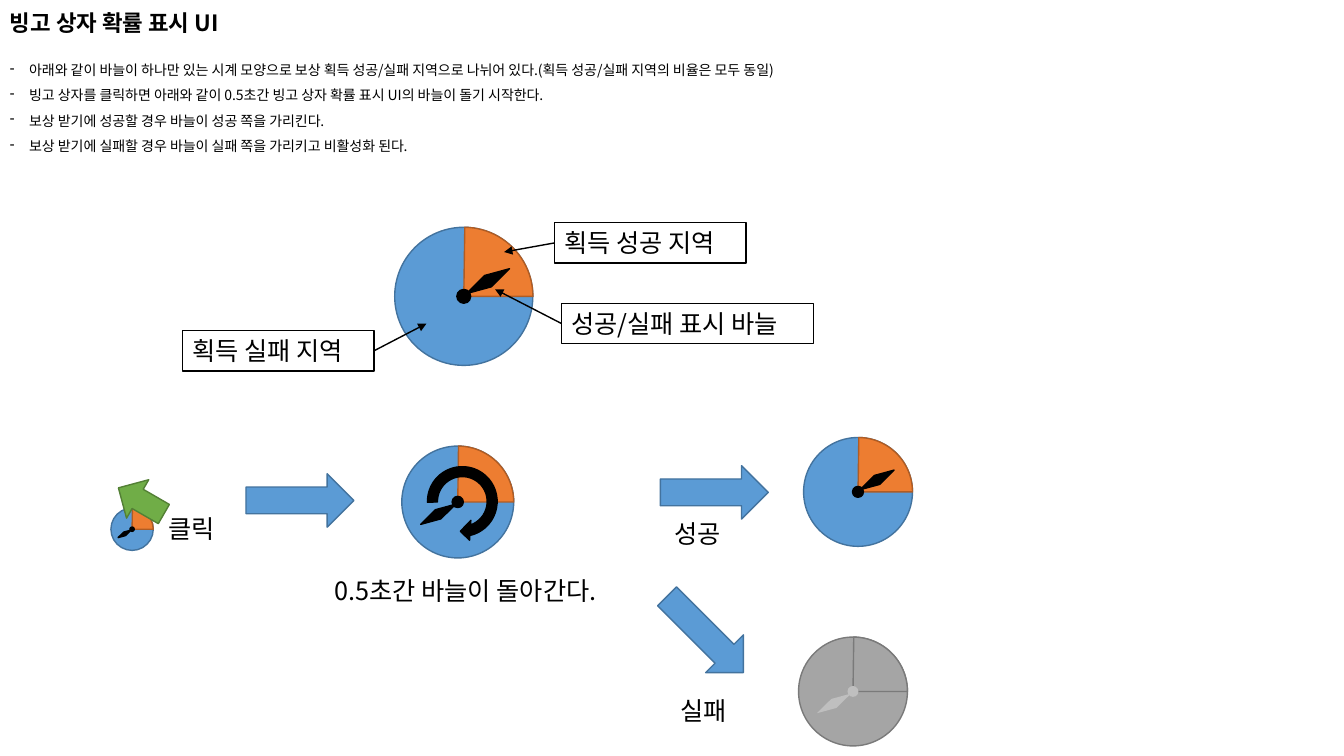
from dataclasses import dataclass

from lxml import etree
from pptx import Presentation
from pptx.dml.color import RGBColor
from pptx.enum.shapes import MSO_CONNECTOR, MSO_SHAPE
from pptx.enum.text import MSO_ANCHOR, MSO_AUTO_SIZE
from pptx.oxml.ns import qn
from pptx.util import Inches, Pt

ELLIPSE, PIE, DIAMOND = MSO_SHAPE.OVAL, MSO_SHAPE.PIE, MSO_SHAPE.DIAMOND
LEFT_ARROW, RIGHT_ARROW = MSO_SHAPE.LEFT_ARROW, MSO_SHAPE.RIGHT_ARROW
CIRCULAR_ARROW = MSO_SHAPE.CIRCULAR_ARROW
STRAIGHT = MSO_CONNECTOR.STRAIGHT
MIDDLE = MSO_ANCHOR.MIDDLE
FIT_SHAPE = MSO_AUTO_SIZE.SHAPE_TO_FIT_TEXT
LEFT_SIDE, RIGHT_SIDE = 1, 3


@dataclass(frozen=True)
class Theme:
    font: str = "Noto Sans CJK KR"
    title: int = 16
    body: int = 10
    label: int = 18
    line: int = 1
    black: tuple = ("000000", "000000")
    white: tuple = ("FFFFFF", "000000")
    blue: tuple = ("5B9BD5", "43739E")
    orange: tuple = ("ED7D31", "AF5C24")
    green: tuple = ("70AD47", "538035")
    grey: tuple = ("A5A5A5", "7A7A7A")
    pale: tuple = ("BFBFBF", None)


T = Theme()
ACTIVE = (T.blue, T.orange, T.black)
INACTIVE = (T.grey, T.grey, T.pale)
SUCCESS, FAILURE = 1, -1

TITLE = "빙고 상자 확률 표시 UI"
RULES = [
    "아래와 같이 바늘이 하나만 있는 시계 모양으로 보상 획득 성공/실패 지역으로 나뉘어 있다."
    "(획득 성공/실패 지역의 비율은 모두 동일)",
    "빙고 상자를 클릭하면 아래와 같이 0.5초간 빙고 상자 확률 표시 UI의 바늘이 돌기 시작한다.",
    "보상 받기에 성공할 경우 바늘이 성공 쪽을 가리킨다.",
    "보상 받기에 실패할 경우 바늘이 실패 쪽을 가리키고 비활성화 된다.",
]
CLOCKS = [
    (1.31, 5.25, 0.42, FAILURE, ACTIVE),
    (4.54, 4.98, 1.11, FAILURE, ACTIVE),
    (8.46, 6.86, 1.08, FAILURE, INACTIVE),
    (8.51, 4.88, 1.08, SUCCESS, ACTIVE),
    (4.6, 2.94, 1.37, SUCCESS, ACTIVE),
]
ARROWS = [
    (LEFT_ARROW, (1.14, 4.75, 0.52, 0.44), T.green, 30, ()),
    (RIGHT_ARROW, (2.44, 4.7, 1.07, 0.53), T.blue, 0, ()),
    (RIGHT_ARROW, (6.55, 4.62, 1.07, 0.53), T.blue, 0, ()),
    (RIGHT_ARROW, (6.46, 6.03, 1.07, 0.53), T.blue, 45, ()),
    (CIRCULAR_ARROW, (4.19, 4.58, 0.79, 0.79), T.black, 93.7,
     (0.125, 11.423, 204.577, 51.074, 0.125)),
]
LABELS = [
    ("클릭", 1.57, 5.04, 0.71),
    ("0.5초간 바늘이 돌아간다.", 3.22, 5.66, 3.04),
    ("성공", 6.59, 5.09, 0.71),
    ("실패", 6.65, 6.85, 0.71),
]
CALLOUTS = [
    ("획득 성공 지역", 5.5, 2.21, 1.9, LEFT_SIDE, (5, 2.5)),
    ("획득 실패 지역", 1.81, 3.28, 1.9, RIGHT_SIDE, (4.23, 3.21)),
    ("성공/실패 표시 바늘", 5.57, 3.01, 2.5, LEFT_SIDE, (4.91, 2.87)),
]
LABEL_H = 0.4
QUARTER = (108.475, 162)
HUB, NEEDLE_W, NEEDLE_H = 0.1, 0.095, 0.36
NEEDLE_DX, NEEDLE_DY = 0.175, -0.11


def paint(sp, colors):
    fill, line = colors
    sp.fill.solid()
    sp.fill.fore_color.rgb = RGBColor.from_string(fill)
    if line:
        sp.line.color.rgb = RGBColor.from_string(line)
        sp.line.width = Pt(T.line)
    else:
        sp.line.fill.background()


def add_shape(s, kind, box, colors, rotation=0, adjustments=()):
    sp = s.shapes.add_shape(kind, *map(Inches, box))
    sp.shadow.inherit = False
    sp.rotation = rotation
    for i, value in enumerate(adjustments):
        sp.adjustments[i] = value
    paint(sp, colors)
    return sp


def centred(cx, cy, w, h):
    return cx - w / 2, cy - h / 2, w, h


def add_clock(s, cx, cy, size, side, palette):
    face, quarter, hand = palette
    disc = centred(cx, cy, size, size)
    hub = centred(cx, cy, HUB * size, HUB * size)
    needle = centred(cx + side * NEEDLE_DX * size, cy + side * NEEDLE_DY * size,
                     NEEDLE_W * size, NEEDLE_H * size)
    add_shape(s, ELLIPSE, disc, face)
    add_shape(s, PIE, disc, quarter, 90, QUARTER)
    add_shape(s, ELLIPSE, hub, hand)
    add_shape(s, DIAMOND, needle, hand, 60)


def add_text(s, text, box, size, bold=False):
    sp = s.shapes.add_textbox(*map(Inches, box))
    tf = sp.text_frame
    tf.text = text
    tf.word_wrap = False
    tf.auto_size = FIT_SHAPE
    for p in tf.paragraphs:
        for r in p.runs:
            r.font.size = Pt(size)
            r.font.bold = bold
            r.font.name = T.font
            r.font.color.rgb = RGBColor.from_string(T.black[0])
            ea = etree.SubElement(r.font._element, qn("a:ea"))
            ea.set("typeface", T.font)
    return sp


def add_rules(s):
    sp = add_text(s, "\n".join(RULES), (0, 0.48, 8.75, 1.11), T.body)
    for p in sp.text_frame.paragraphs:
        pPr = p._p.get_or_add_pPr()
        pPr.set("marL", str(Inches(0.19)))
        pPr.set("indent", str(-Inches(0.19)))
        etree.SubElement(pPr, qn("a:buChar")).set("char", "-")
        p.line_spacing = 1.5


def add_callout(s, text, x, y, w, side, target):
    sp = add_text(s, text, (x, y, w, LABEL_H), T.label)
    paint(sp, T.white)
    tx, ty = map(Inches, target)
    pointer = s.shapes.add_connector(STRAIGHT, tx, ty, tx, ty)
    pointer.begin_connect(sp, side)
    pointer.line.color.rgb = RGBColor.from_string(T.black[1])
    pointer.line.width = Pt(T.line)
    etree.SubElement(pointer.line._get_or_add_ln(), qn("a:tailEnd")).set("type", "triangle")
    etree.SubElement(pointer._element.spPr, qn("a:effectLst"))


def main():
    prs = Presentation()
    prs.slide_width, prs.slide_height = Inches(13.33), Inches(7.5)
    s = prs.slides.add_slide(prs.slide_layouts[6])

    title = add_text(s, TITLE, (0, 0, 13.33, 0.48), T.title, True).text_frame
    title.word_wrap = True
    title.auto_size = MSO_AUTO_SIZE.NONE
    title.vertical_anchor = MIDDLE
    title.paragraphs[0].line_spacing = 0.9
    add_rules(s)

    for clock in CLOCKS:
        add_clock(s, *clock)
    for arrow in ARROWS:
        add_shape(s, *arrow)
    for text, x, y, w in LABELS:
        add_text(s, text, (x, y, w, LABEL_H), T.label)
    for callout in CALLOUTS:
        add_callout(s, *callout)

    prs.save("out.pptx")


if __name__ == "__main__":
    main()
